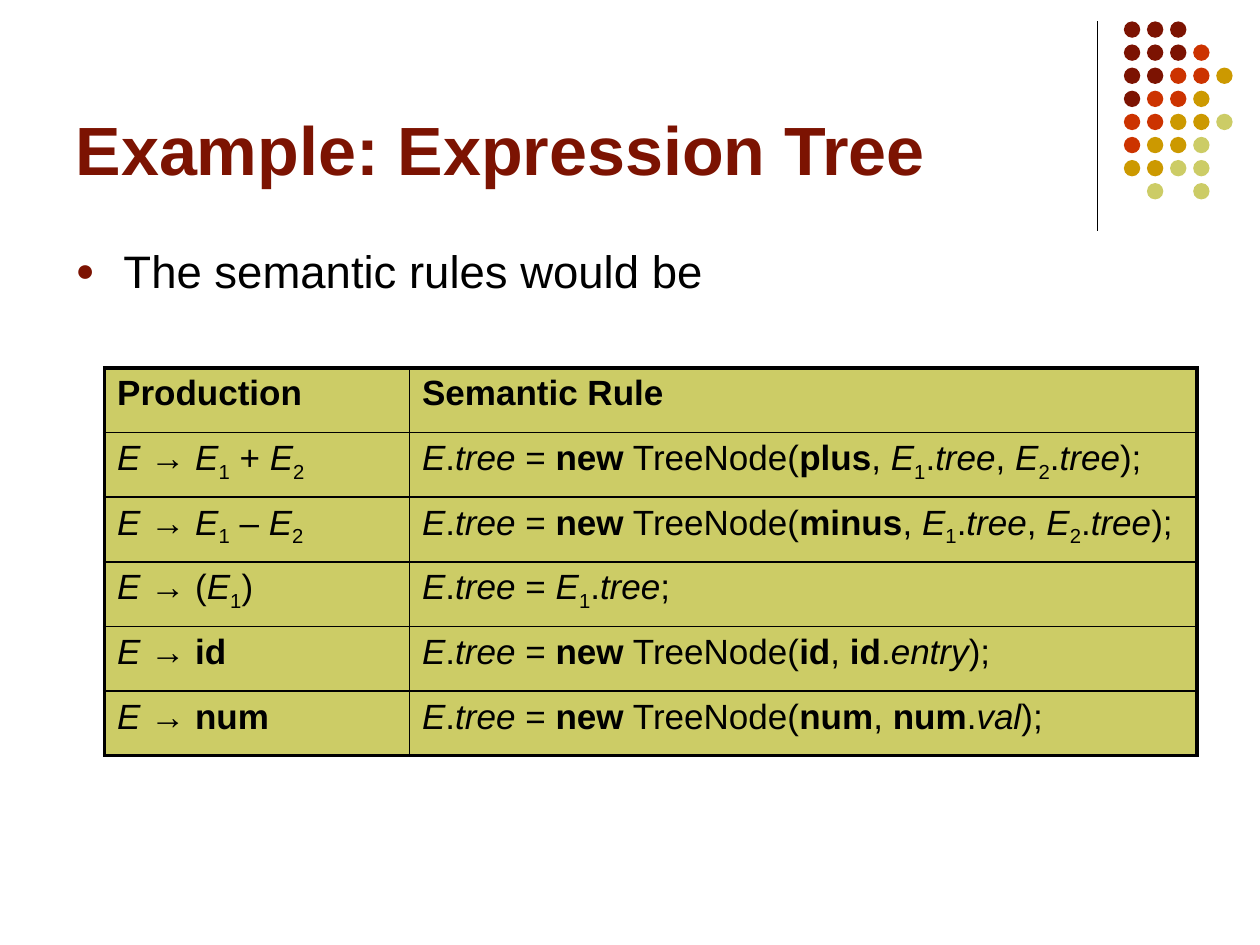
from lxml.etree import SubElement as Sub
from pptx import Presentation
from pptx.dml.color import RGBColor as RGB
from pptx.enum.shapes import MSO_CONNECTOR as Link, MSO_SHAPE as Shape
from pptx.enum.text import MSO_ANCHOR as Anchor, MSO_AUTO_SIZE as Fit, PP_ALIGN as Align
from pptx.oxml.ns import qn
from pptx.util import Inches, Pt

COLORS = {"ink": "000000", "maroon": "7C1302", "red": "CC3300",
          "gold": "CC9900", "olive": "CCCC66"}
DOTS = ["MMM", "MMMR", "MMRRG", "MRRG", "RRGGO", "RGGO", "GGOO", " O O"]
HUES = {"M": "maroon", "R": "red", "G": "gold", "O": "olive"}

# Runs are split at "|"; a run starts with / for italic, * for bold, _ for subscript.
NODE = "/E|.|/tree| = |*new| TreeNode("
PAIR = "|, |/E|_1|.|/tree|, |/E|_2|.|/tree|);"
ROWS = [
    ("*Production", "*Semantic Rule"),
    ("/E |→ |/E|_1| + |/E|_2", NODE + "|*plus" + PAIR),
    ("/E |→ |/E|_1| – |/E|_2", NODE + "|*minus" + PAIR),
    ("/E |→ (|/E|_1|)", "/E|.|/tree| = |/E|_1|.|/tree|;"),
    ("/E |→ |*id", NODE + "|*id|, |*id|.|/entry|);"),
    ("/E |→ |*num", NODE + "|*num|, |*num|.|/val|);"),
]


def color(name):
    return RGB.from_string(COLORS[name])


def add_run(para, text, size, hue="ink", bold=False, italic=False):
    run = para.add_run()
    run.text = text
    font = run.font
    font.name, font.size = "Arial", Pt(size)
    font.bold, font.italic = bold, italic
    font.color.rgb = color(hue)
    return run


def add_runs(para, marked, size):
    """Turn marked-up text into styled runs."""
    for piece in marked.split("|"):
        mark = piece[0] if piece[0] in "/*_" else ""
        run = add_run(para, piece[len(mark):], size,
                      bold=mark == "*", italic=mark == "/")
        if mark == "_":
            run.font._element.set("baseline", "-25000")


def place(shape, box):
    shape.left, shape.top, shape.width, shape.height = map(Inches, box)


def add_title(slide, box, text):
    title = slide.shapes.title
    place(title, box)
    frame = title.text_frame
    frame.word_wrap, frame.auto_size = True, Fit.NONE
    frame.vertical_anchor = Anchor.BOTTOM
    para = frame.paragraphs[0]
    para.alignment = Align.LEFT
    add_run(para, text, 39, "maroon", bold=True)


def add_body(slide, box, text):
    body = slide.placeholders[1]
    place(body, box)
    body.text_frame.auto_size = Fit.NONE
    para = body.text_frame.paragraphs[0]
    para.space_before = Pt(0)
    props = para._p.get_or_add_pPr()
    props.set("marL", str(Inches(0.38)))
    props.set("indent", str(Inches(-0.38)))
    Sub(Sub(props, qn("a:buClr")), qn("a:srgbClr"), val=COLORS["maroon"])
    Sub(props, qn("a:buSzPct"), val="70000")
    Sub(props, qn("a:buFont"), typeface="Arial")
    Sub(props, qn("a:buChar"), char="●")
    add_run(para, text, 26)


def add_rule(slide, x, top, end):
    rule = slide.shapes.add_connector(
        Link.STRAIGHT, Inches(x), Inches(top), Inches(x), Inches(end))
    rule.line.color.rgb = color("ink")
    rule.line.width = Pt(0.75)
    Sub(rule._element.spPr, qn("a:effectLst"))


def add_dots(slide, left, top):
    size, step = Inches(0.13), Inches(0.55) / 3
    group = slide.shapes.add_group_shape()
    for row, line in enumerate(DOTS):
        for col, key in enumerate(line):
            if key == " ":
                continue
            dot = group.shapes.add_shape(
                Shape.OVAL, int(Inches(left) + col * step),
                int(Inches(top) + row * step), size, size)
            dot.shadow.inherit = False
            dot.fill.solid()
            dot.fill.fore_color.rgb = color(HUES[key])
            dot.line.fill.background()


def set_edges(cell, outer):
    """Draw thick lines on the outer sides of a cell and thin ones elsewhere."""
    props = cell._tc.get_or_add_tcPr()
    for side in "LRTB":
        width = Pt(2.25 if side in outer else 1)
        edge = Sub(props, qn("a:ln" + side), w=str(width))
        Sub(Sub(edge, qn("a:solidFill")), qn("a:srgbClr"), val=COLORS["ink"])


def add_rules(slide, box, widths):
    """Add the table of productions and semantic rules."""
    table = slide.shapes.add_table(
        len(ROWS), len(widths), *map(Inches, box)).table
    table.first_row = table.horz_banding = False
    for col, width in zip(table.columns, widths):
        col.width = Inches(width)
    for r, texts in enumerate(ROWS):
        for c, text in enumerate(texts):
            cell = table.cell(r, c)
            ends = {0: "T", len(ROWS) - 1: "B"}
            set_edges(cell, "LR"[c] + ends.get(r, ""))
            cell.fill.solid()
            cell.fill.fore_color.rgb = color("olive")
            add_runs(cell.text_frame.paragraphs[0], text, 20)


def main():
    deck = Presentation()
    deck.slide_width, deck.slide_height = Inches(10), Inches(7.5)
    slide = deck.slides.add_slide(deck.slide_layouts[1])
    add_rule(slide, 8.71, 0.17, 1.83)
    add_dots(slide, 8.92, 0.17)
    add_title(slide, (0.5, 0.13, 8.25, 1.42), "Example: Expression Tree")
    add_body(slide, (0.5, 1.88, 8.58, 4.82), "The semantic rules would be")
    add_rules(slide, (0.83, 2.92, 8.67, 3.08), (2.42, 6.25))
    deck.save("out.pptx")


if __name__ == "__main__":
    main()
